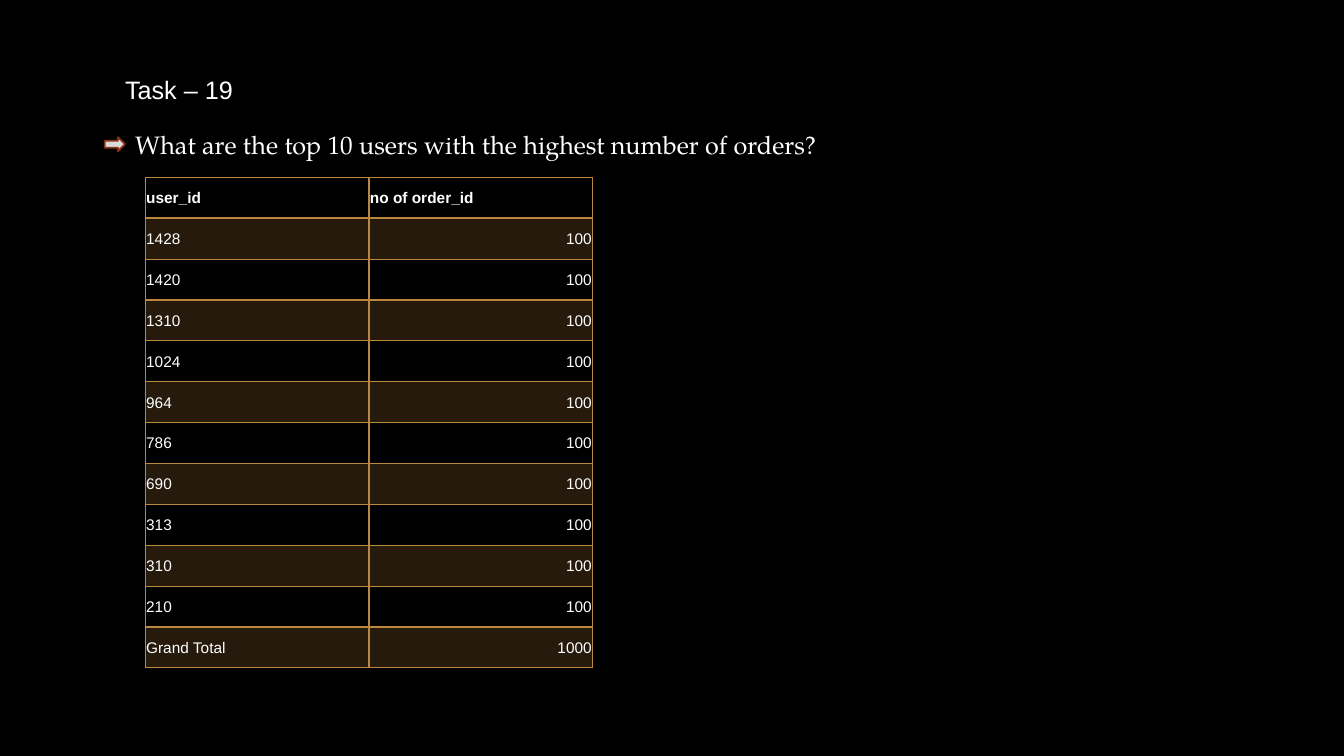
from dataclasses import dataclass

import pptx
import pptx.dml.color
import pptx.enum.shapes
import pptx.enum.text
import pptx.oxml.ns
import pptx.util
from lxml import etree

Pt = pptx.util.Pt
RGB = pptx.dml.color.RGBColor.from_string
Align = pptx.enum.text.PP_ALIGN
Anchor = pptx.enum.text.MSO_ANCHOR
qn = pptx.oxml.ns.qn


@dataclass(frozen=True)
class Theme:
    background: str = "000000"
    text: str = "FFFFFF"
    gold: str = "BB8640"
    arrow: str = "DADADA"
    arrow_edge: str = "8B3314"
    sans: str = "Arial"
    serif: str = "TeX Gyre Pagella"
    heading_size: float = 18
    table_size: float = 11
    band_opacity: int = 20


THEME = Theme()
ORDERS = [("user_id", "no of order_id")]
ORDERS += [(user, "100") for user in
           ("1428", "1420", "1310", "1024", "964", "786", "690", "313", "310", "210")]
ORDERS.append(("Grand Total", "1000"))


def write(frame, text, font=THEME.sans, size=THEME.heading_size, bold=False,
          align=Align.LEFT, bullet=True):
    para = frame.paragraphs[0]
    para.alignment = align
    if not bullet:
        properties = para._p.get_or_add_pPr()
        properties.set("marL", "0")
        properties.set("indent", "0")
        para.space_before = Pt(0)
        etree.SubElement(properties, qn("a:buNone"))
    span = para.add_run()
    span.text = text
    span.font.name = font
    span.font.size = Pt(size)
    span.font.bold = bold
    span.font.color.rgb = RGB(THEME.text)


def place_heading(holder, box, text, **style):
    holder.left, holder.top, holder.width, holder.height = map(Pt, box)
    frame = holder.text_frame
    frame.word_wrap = True
    frame.auto_size = pptx.enum.text.MSO_AUTO_SIZE.NONE
    frame.vertical_anchor = Anchor.TOP
    write(frame, text, **style)


def add_question(page, box, text):
    left, top, width, height = box
    marker_width, marker_height = 14.4, 10
    # Arrow marker
    marker = page.shapes.add_shape(
        pptx.enum.shapes.MSO_SHAPE.RIGHT_ARROW, Pt(left), Pt(top + 9.4),
        Pt(marker_width), Pt(marker_height))
    marker.shadow.inherit = False
    marker.fill.solid()
    marker.fill.fore_color.rgb = RGB(THEME.arrow)
    marker.line.color.rgb = RGB(THEME.arrow_edge)
    marker.line.width = Pt(1.25)
    # Question
    place_heading(page.placeholders[1],
                  (left + marker_width, top, width - marker_width, height),
                  text, font=THEME.serif, bullet=False)


def add_border(cell, side, width):
    line = etree.SubElement(cell._tc.get_or_add_tcPr(), qn("a:ln" + side),
                            w=str(Pt(width)))
    fill = etree.SubElement(line, qn("a:solidFill"))
    etree.SubElement(fill, qn("a:srgbClr"), val=THEME.gold)


def fill_band(cell, shaded):
    if not shaded:
        cell.fill.background()
        return
    cell.fill.solid()
    cell.fill.fore_color.rgb = RGB(THEME.gold)
    color = cell._tc.tcPr.find(qn("a:solidFill")).find(qn("a:srgbClr"))
    etree.SubElement(color, qn("a:alpha"), val=str(THEME.band_opacity * 1000))


def add_orders_table(page, box, rows):
    table = page.shapes.add_table(len(rows), len(rows[0]), *map(Pt, box)).table
    table.first_row = table.horz_banding = False
    for row_index, row in enumerate(rows):
        table.rows[row_index].height = Pt(box[3] / len(rows))
        header = row_index == 0
        for column, text in enumerate(row):
            cell = table.cell(row_index, column)
            cell.margin_left = cell.margin_right = cell.margin_top = Pt(0.7)
            cell.margin_bottom = Pt(0)
            cell.vertical_anchor = Anchor.MIDDLE
            number = column == 1 and not header
            write(cell.text_frame, text, size=THEME.table_size, bold=header,
                  align=Align.RIGHT if number else Align.LEFT)
            # The rule under the header is heavier
            add_border(cell, "L", 1)
            add_border(cell, "R", 1)
            add_border(cell, "T", 2 if row_index == 1 else 1)
            add_border(cell, "B", 2 if header else 1)
            fill_band(cell, row_index % 2 == 1)


def build_task_slide(deck):
    page = deck.slides.add_slide(deck.slide_layouts[1])
    page.background.fill.solid()
    page.background.fill.fore_color.rgb = RGB(THEME.background)
    place_heading(page.shapes.title, (82.1, 49.7, 165, 28.8), "Task – 19")
    add_question(page, (74.9, 88.6, 561.6, 28.8),
                 "What are the top 10 users with the highest number of orders?")
    add_orders_table(page, (103.7, 126.7, 319.7, 350.6), ORDERS)


def main():
    deck = pptx.Presentation()
    deck.slide_width, deck.slide_height = Pt(960), Pt(540)
    build_task_slide(deck)
    deck.save("out.pptx")


if __name__ == "__main__":
    main()
